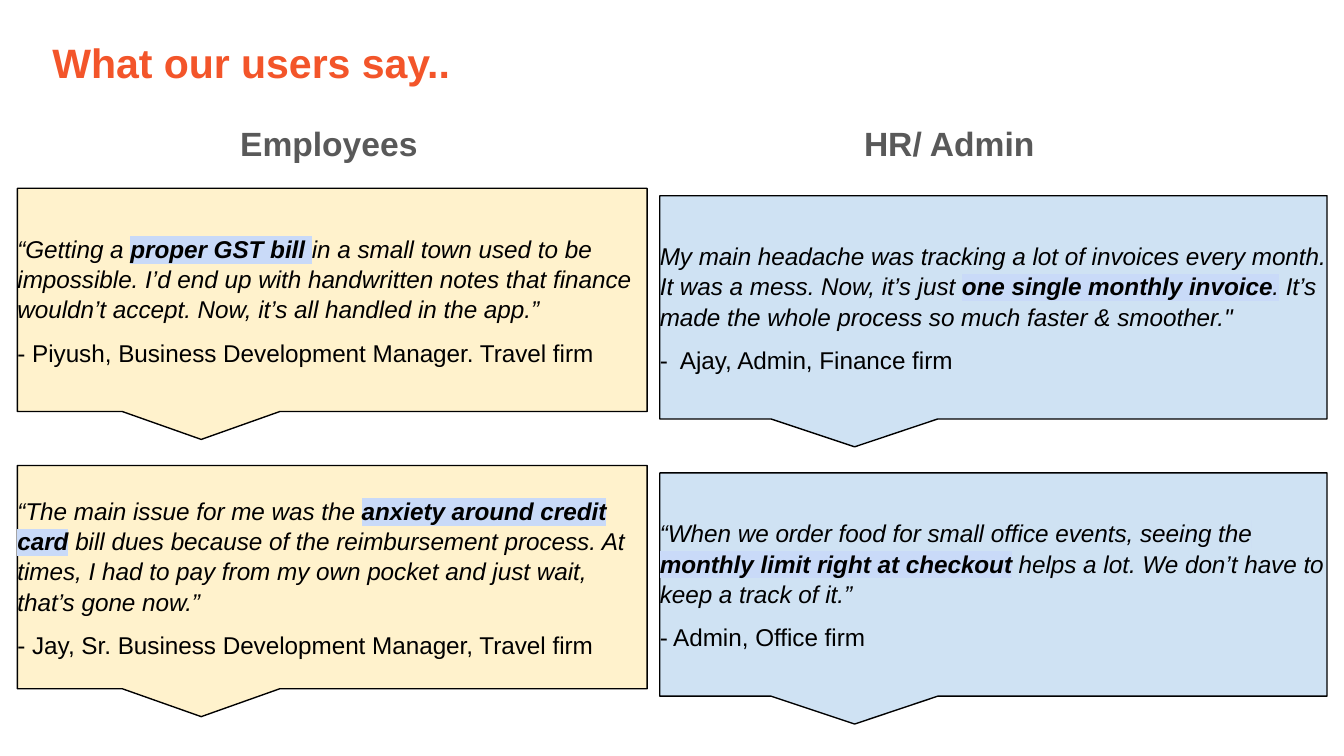
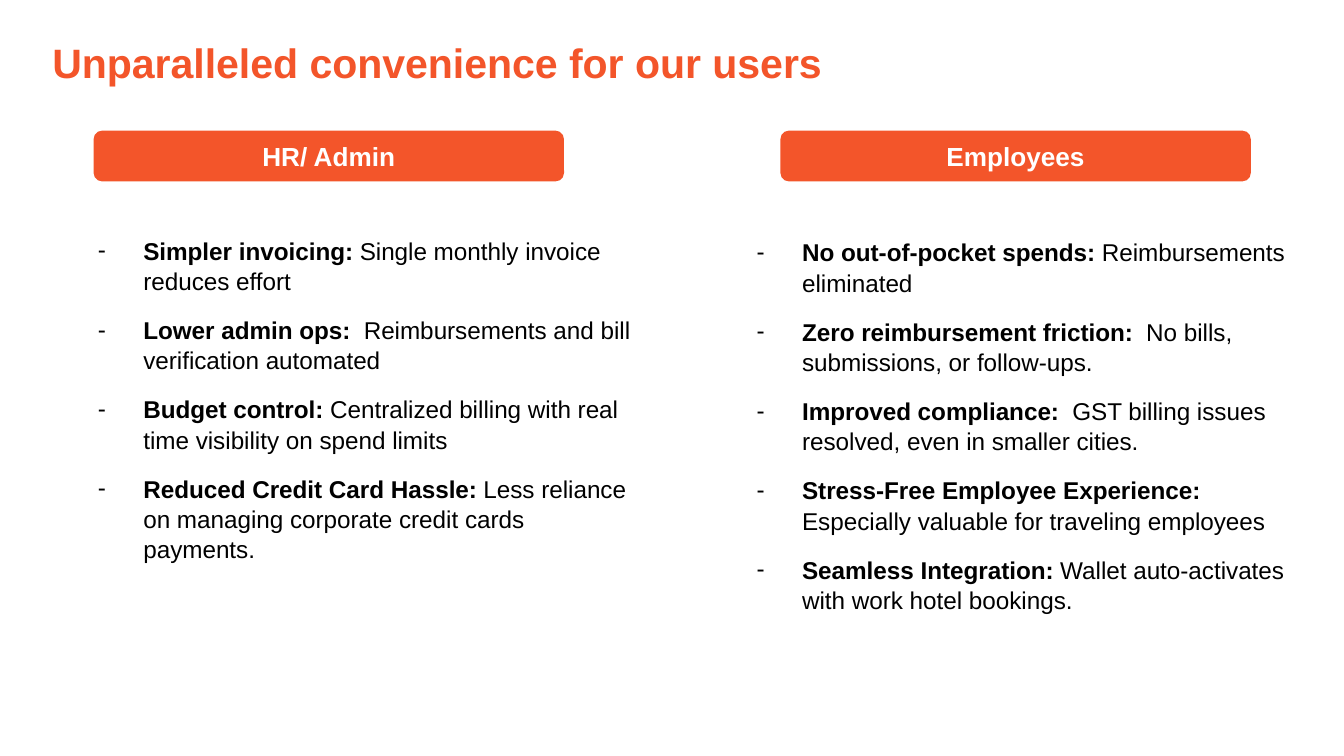
from lxml import etree
from pptx import Presentation
from pptx import util as u
from pptx.dml.color import RGBColor
from pptx.enum import shapes, text
from pptx.oxml.ns import qn

FONT = "Arial"
ORANGE, BLACK, WHITE, GREY = "F3552A", "000000", "FFFFFF", "595959"
CREAM, SKY, MARKER = "FFF2CC", "CFE2F3", "C9DAF8"
BODY_SIZE = 13
LINE_SPACING = 1.04

# Each quote: parts as (text, bold, highlighted), then the speaker.
EMPLOYEE_QUOTES = [
    ([("“Getting a ", False, False),
      ("proper GST bill ", True, True),
      ("in a small town used to be impossible. I’d end up with handwritten notes "
       "that finance wouldn’t accept. Now, it’s all handled in the app.”", False, False)],
     "- Piyush, Business Development Manager. Travel firm"),
    ([("“The main issue for me was the ", False, False),
      ("anxiety around credit card", True, True),
      (" bill dues because of the reimbursement process. At times, I had to pay "
       "from my own pocket and just wait, that’s gone now.”", False, False)],
     "- Jay, Sr. Business Development Manager, Travel firm"),
]
ADMIN_QUOTES = [
    ([("My main headache was tracking a lot of invoices every month. It was a mess. "
       "Now, it’s just ", False, False),
      ("one single monthly invoice", True, True),
      (".", False, True),
      (" It’s made the whole process so much faster & smoother.\"", False, False)],
     "-  Ajay, Admin, Finance firm"),
    ([("“When we order food for small office events, seeing the", False, False),
      (" monthly limit right at checkout", True, True),
      (" helps a lot. We don’t have to keep a track of it.”", False, False)],
     "- Admin, Office firm"),
]
ADMIN_BENEFITS = [
    ("Simpler invoicing: ", "Single monthly invoice reduces effort"),
    ("Lower admin ops:  ", "Reimbursements and bill verification automated"),
    ("Budget control: ", "Centralized billing with real time visibility on spend limits"),
    ("Reduced Credit Card Hassle: ",
     "Less reliance on managing corporate credit cards payments."),
]
EMPLOYEE_BENEFITS = [
    ("No out-of-pocket spends: ", "Reimbursements eliminated"),
    ("Zero reimbursement friction:", "  No bills, submissions, or follow-ups."),
    ("Improved compliance:  ", "GST billing issues resolved, even in smaller cities."),
    ("Stress-Free Employee Experience: ", "Especially valuable for traveling employees"),
    ("Seamless Integration:", " Wallet auto-activates with work hotel bookings."),
]


def color(hex_value):
    return RGBColor.from_string(hex_value)


def box(left, top, width, height):
    return [u.Cm(length) for length in (left, top, width, height)]


def set_margins(frame, margin):
    frame.margin_left = frame.margin_right = u.Cm(margin)
    frame.margin_top = frame.margin_bottom = u.Cm(margin)
    frame.word_wrap = True


def add_run(paragraph, content, size, hex_value, bold=False, italic=False, marked=False):
    run = paragraph.add_run()
    run.text = content
    font = run.font
    font.name, font.size = FONT, u.Pt(size)
    font.bold, font.italic = bold, italic
    font.color.rgb = color(hex_value)
    if marked:
        highlight = etree.Element(qn("a:highlight"))
        etree.SubElement(highlight, qn("a:srgbClr"), val=MARKER)
        run._r.rPr.find(qn("a:solidFill")).addnext(highlight)


def next_paragraph(frame, index, space_before):
    """Return the paragraph at index, spaced from the one above it."""
    paragraph = frame.add_paragraph() if index else frame.paragraphs[0]
    paragraph.line_spacing = LINE_SPACING
    if index:
        paragraph.space_before = u.Pt(space_before)
    return paragraph


def add_text_box(slide, position, grow=False):
    frame = slide.shapes.add_textbox(*box(*position)).text_frame
    set_margins(frame, 0.25)
    if grow:
        frame.auto_size = text.MSO_AUTO_SIZE.SHAPE_TO_FIT_TEXT
    return frame


def add_filled_shape(slide, kind, position, fill, margin):
    shape = slide.shapes.add_shape(kind, *box(*position))
    shape.shadow.inherit = False
    shape.fill.solid()
    shape.fill.fore_color.rgb = color(fill)
    set_margins(shape.text_frame, margin)
    shape.text_frame.vertical_anchor = text.MSO_ANCHOR.MIDDLE
    return shape


def add_title(slide, content):
    frame = add_text_box(slide, (0.74, 0.46, 22.22, 1.45), grow=True)
    add_run(frame.paragraphs[0], content, 22, ORANGE, bold=True)


def add_column_heading(slide, content, left):
    frame = add_text_box(slide, (left, 2.08, 5.16, 0.51))
    add_run(frame.paragraphs[0], content, 18, GREY, bold=True)


def add_quote(slide, position, fill, parts, speaker):
    callout = add_filled_shape(slide, shapes.MSO_SHAPE.ROUNDED_RECTANGULAR_CALLOUT,
                               position, fill, 0)
    for index, value in enumerate((-0.208, 0.625, 0)):
        callout.adjustments[index] = value
    callout.line.color.rgb = color(BLACK)
    callout.line.width = u.Pt(0.75)
    frame = callout.text_frame
    lines = [(parts, True), ([(speaker, False, False)], False)]
    for index, (line_parts, italic) in enumerate(lines):
        paragraph = next_paragraph(frame, index, 7)
        paragraph.alignment = text.PP_ALIGN.LEFT
        for content, bold, marked in line_parts:
            add_run(paragraph, content, BODY_SIZE, BLACK, bold, italic, marked)


def add_quote_column(slide, left, top, width, fill, quotes):
    for row, (parts, speaker) in enumerate(quotes):
        add_quote(slide, (left, top + row * 5.24, width, 4.22), fill, parts, speaker)


def add_pill(slide, content, left):
    pill = add_filled_shape(slide, shapes.MSO_SHAPE.ROUNDED_RECTANGLE,
                            (left, 2.47, 8.89, 0.96), ORANGE, 0.25)
    pill.adjustments[0] = 0.167
    pill.line.fill.background()
    paragraph = pill.text_frame.paragraphs[0]
    paragraph.alignment = text.PP_ALIGN.CENTER
    add_run(paragraph, content, 14, WHITE, bold=True)


def set_dash_bullet(paragraph):
    properties = paragraph._p.get_or_add_pPr()
    properties.set("marL", str(u.Cm(1.27)))
    properties.set("indent", str(u.Cm(-0.86)))
    bullet_color = etree.SubElement(properties, qn("a:buClr"))
    etree.SubElement(bullet_color, qn("a:srgbClr"), val=BLACK)
    etree.SubElement(properties, qn("a:buFont"), typeface=FONT)
    etree.SubElement(properties, qn("a:buChar"), char="-")


def add_benefits(slide, position, benefits):
    frame = add_text_box(slide, position, grow=True)
    for index, (label, detail) in enumerate(benefits):
        paragraph = next_paragraph(frame, index, 10)
        set_dash_bullet(paragraph)
        add_run(paragraph, label, BODY_SIZE, BLACK, bold=True)
        add_run(paragraph, detail, BODY_SIZE, BLACK)


def add_slide(presentation, title):
    slide = presentation.slides.add_slide(presentation.slide_layouts[6])
    add_title(slide, title)
    return slide


def build_quotes_slide(presentation):
    slide = add_slide(presentation, "What our users say..")
    add_column_heading(slide, "Employees", 4.29)
    add_column_heading(slide, "HR/ Admin", 16.08)
    add_quote_column(slide, 0.33, 3.56, 11.9, CREAM, EMPLOYEE_QUOTES)
    add_quote_column(slide, 12.47, 3.7, 12.61, SKY, ADMIN_QUOTES)


def build_benefits_slide(presentation):
    slide = add_slide(presentation, "Unparalleled convenience for our users")
    add_pill(slide, "HR/ Admin", 1.77)
    add_pill(slide, "Employees", 14.75)
    add_benefits(slide, (1.19, 4.19, 11, 6.58), ADMIN_BENEFITS)
    add_benefits(slide, (13.64, 4.22, 11, 7.49), EMPLOYEE_BENEFITS)


def main():
    presentation = Presentation()
    presentation.slide_width, presentation.slide_height = u.Cm(25.4), u.Cm(14.29)
    build_quotes_slide(presentation)
    build_benefits_slide(presentation)
    presentation.save("out.pptx")


if __name__ == "__main__":
    main()
